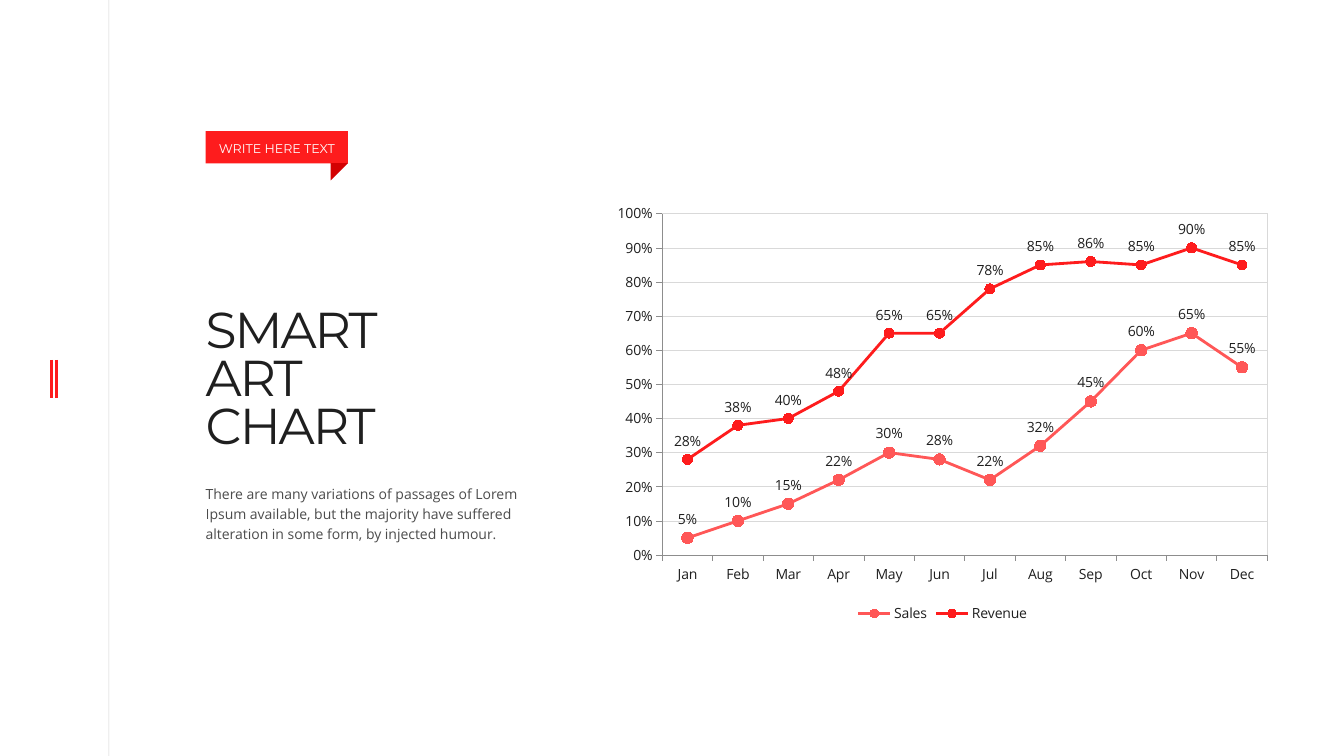
"""Build a slide with a two-series monthly line chart beside a title, a tag and a short text."""
from copy import deepcopy

from lxml import etree
from pptx import Presentation
from pptx import util as u
from pptx.chart import data
from pptx.dml import color
from pptx.enum import chart as charts
from pptx.enum import shapes, text
from pptx.oxml import ns, parse_xml

COLORS = {"ink": "1F1F1F", "red": "FE1C1D", "coral": "FF5757", "dark red": "D30102",
          "axis": "8D8D8D", "grid": "D9D9D9", "white": "FFFFFF"}
FORMATS = {
    "title": {"size": u.Pt(36), "name": "Montserrat"},
    "body": {"size": u.Pt(10), "name": "Open Sans"},
    "tag": {"size": u.Pt(9), "name": "Montserrat"},
}


def paint(target, shade, opacity=None):
    """Fill a line, font or shape fill with a named colour."""
    fill = getattr(target, "fill", target)
    fill.solid()
    fill.fore_color.rgb = color.RGBColor.from_string(COLORS[shade])
    if opacity:
        for rgb in fill._xPr.iter(ns.qn("a:srgbClr")):
            etree.SubElement(rgb, ns.qn("a:alpha"), val=str(opacity * 1000))


def style(font, kind, shade, opacity=None):
    """Apply a named text format and colour to a font."""
    for attribute, value in FORMATS[kind].items():
        setattr(font, attribute, value)
    paint(font, shade, opacity)


deck = Presentation()
deck.slide_width, deck.slide_height = u.Inches(13.33), u.Inches(7.5)
slide = deck.slides.add_slide(deck.slide_layouts[1])

rules = [(1.08, 0, 7.5, "ink", 0.5, 20), (0.51, 3.57, 3.95, "red", 2, None),
         (0.56, 3.57, 3.95, "red", 2, None)]
for x, top, bottom, shade, width, opacity in rules:
    rule = slide.shapes.add_connector(shapes.MSO_CONNECTOR.STRAIGHT, u.Inches(x), u.Inches(top),
                                      u.Inches(x), u.Inches(bottom))
    rule.line.width = u.Pt(width)
    paint(rule.line, shade, opacity)
    etree.SubElement(rule._element.spPr, ns.qn("a:effectLst"))

monthly = data.CategoryChartData(number_format="0%")
monthly.categories = ["Jan", "Feb", "Mar", "Apr", "May", "Jun",
                      "Jul", "Aug", "Sep", "Oct", "Nov", "Dec"]
monthly.add_series("Sales", [0.05, 0.1, 0.15, 0.22, 0.3, 0.28, 0.22, 0.32, 0.45, 0.6, 0.65, 0.55])
monthly.add_series("Revenue", [0.28, 0.38, 0.4, 0.48, 0.65, 0.65, 0.78, 0.85, 0.86, 0.85, 0.9, 0.85])
chart = slide.shapes.add_chart(charts.XL_CHART_TYPE.LINE_MARKERS, u.Inches(5.99), u.Inches(1.95),
                               u.Inches(6.72), u.Inches(4.27), monthly).chart
chart.has_title = False
style(chart.font, "body", "ink")
chart.plots[0].vary_by_categories = False

for series, shade, marker_size in zip(chart.plots[0].series, ("coral", "red"), (8, 7)):
    series.smooth = False
    series.format.line.width = u.Pt(2)
    paint(series.format.line, shade)
    series.marker.style = charts.XL_MARKER_STYLE.CIRCLE
    series.marker.size = marker_size
    paint(series.marker.format, shade)
    paint(series.marker.format.line, shade)
    labels = series.data_labels
    labels.show_value = True
    labels.position = charts.XL_LABEL_POSITION.ABOVE
    labels.number_format, labels.number_format_is_linked = "0%", False
    style(labels.font, "body", "ink")

for axis in (chart.category_axis, chart.value_axis):
    axis.major_tick_mark = charts.XL_TICK_MARK.OUTSIDE
    axis.minor_tick_mark = charts.XL_TICK_MARK.NONE
    axis.format.line.width = u.Pt(0.5)
    paint(axis.format.line, "axis")
    style(axis.tick_labels.font, "body", "ink")
percent = chart.value_axis
percent.minimum_scale, percent.maximum_scale, percent.major_unit = 0, 1, 0.1
percent.tick_labels.number_format, percent.tick_labels.number_format_is_linked = "0%", False
percent.has_major_gridlines = True
percent.major_gridlines.format.line.width = u.Pt(0.5)
paint(percent.major_gridlines.format.line, "grid")

chart.has_legend = True
chart.legend.position = charts.XL_LEGEND_POSITION.BOTTOM
chart.legend.include_in_layout = False
style(chart.legend.font, "body", "ink")

plot_area = chart._chartSpace.find(".//" + ns.qn("c:plotArea"))
for automatic in plot_area.findall(ns.qn("c:layout")):
    plot_area.remove(automatic)
plot_area.insert(0, parse_xml(
    f'<c:layout {ns.nsdecls("c")}><c:manualLayout><c:layoutTarget val="inner"/>'
    '<c:xMode val="edge"/><c:yMode val="edge"/><c:x val="0.086"/><c:y val="0.04"/>'
    '<c:w val="0.893"/><c:h val="0.793"/></c:manualLayout></c:layout>'))
plot_area.append(parse_xml(
    f'<c:spPr {ns.nsdecls("c", "a")}><a:noFill/><a:ln w="6350"><a:solidFill>'
    f'<a:srgbClr val="{COLORS["grid"]}"/></a:solidFill></a:ln></c:spPr>'))

title, body = slide.shapes.title, slide.placeholders[1]
tag = slide.shapes.add_shape(shapes.MSO_SHAPE.RECTANGLE, 0, 0, 0, 0)
fold = slide.shapes.add_shape(shapes.MSO_SHAPE.RIGHT_TRIANGLE, u.Inches(3.28), u.Inches(1.62),
                              u.Inches(0.17), u.Inches(0.17))
fold._element.spPr.xfrm.set("flipV", "1")
for part, shade in ((tag, "red"), (fold, "dark red")):
    part.shadow.inherit = False
    paint(part, shade)
    part.line.fill.background()

left, center = text.PP_ALIGN.LEFT, text.PP_ALIGN.CENTER
top, middle = text.MSO_ANCHOR.TOP, text.MSO_ANCHOR.MIDDLE
blocks = [
    (title, "title", "SMART\vART\vCHART", (2.04, 2.86, 4.62, 1.77), 0.21, 0, 0.8, left, top, "ink", None),
    (body, "body", "There are many variations of passages of Lorem Ipsum available, but the majority "
     "have suffered alteration in some form, by injected humour.",
     (2.04, 4.73, 3.4, 0.71), 0.05, 0.05, 1.2, left, top, "ink", 80),
    (tag, "tag", "WRITE HERE TEXT", (2.04, 1.3, 1.41, 0.32), 0.07, 0.05, 1.0, center, middle, "white", None),
]
for part, kind, wording, box, inset_top, inset_bottom, spacing, align, anchor, shade, opacity in blocks:
    part.left, part.top, part.width, part.height = map(u.Inches, box)
    frame = part.text_frame
    frame.text = wording
    frame.word_wrap = True
    frame.auto_size = text.MSO_AUTO_SIZE.NONE
    frame.vertical_anchor = anchor
    frame.margin_left = frame.margin_right = 0
    frame.margin_top, frame.margin_bottom = u.Inches(inset_top), u.Inches(inset_bottom)
    paragraph = frame.paragraphs[0]
    paragraph.alignment = align
    paragraph.line_spacing = spacing
    paragraph.space_before = u.Pt(0)
    for run in paragraph.runs:
        style(run.font, kind, shade, opacity)

bullets = body.text_frame.paragraphs[0]._p.get_or_add_pPr()
bullets.set("marL", "0")
bullets.set("indent", "0")
etree.SubElement(bullets, ns.qn("a:buNone"))
body.text_frame.auto_size = text.MSO_AUTO_SIZE.SHAPE_TO_FIT_TEXT

heading = title.text_frame.paragraphs[0]
for run in heading.runs:
    run.font._element.set("spc", "-150")
for line_break in heading._p.findall(ns.qn("a:br")):
    line_break.append(deepcopy(heading.runs[0].font._element))

deck.save("out.pptx")
